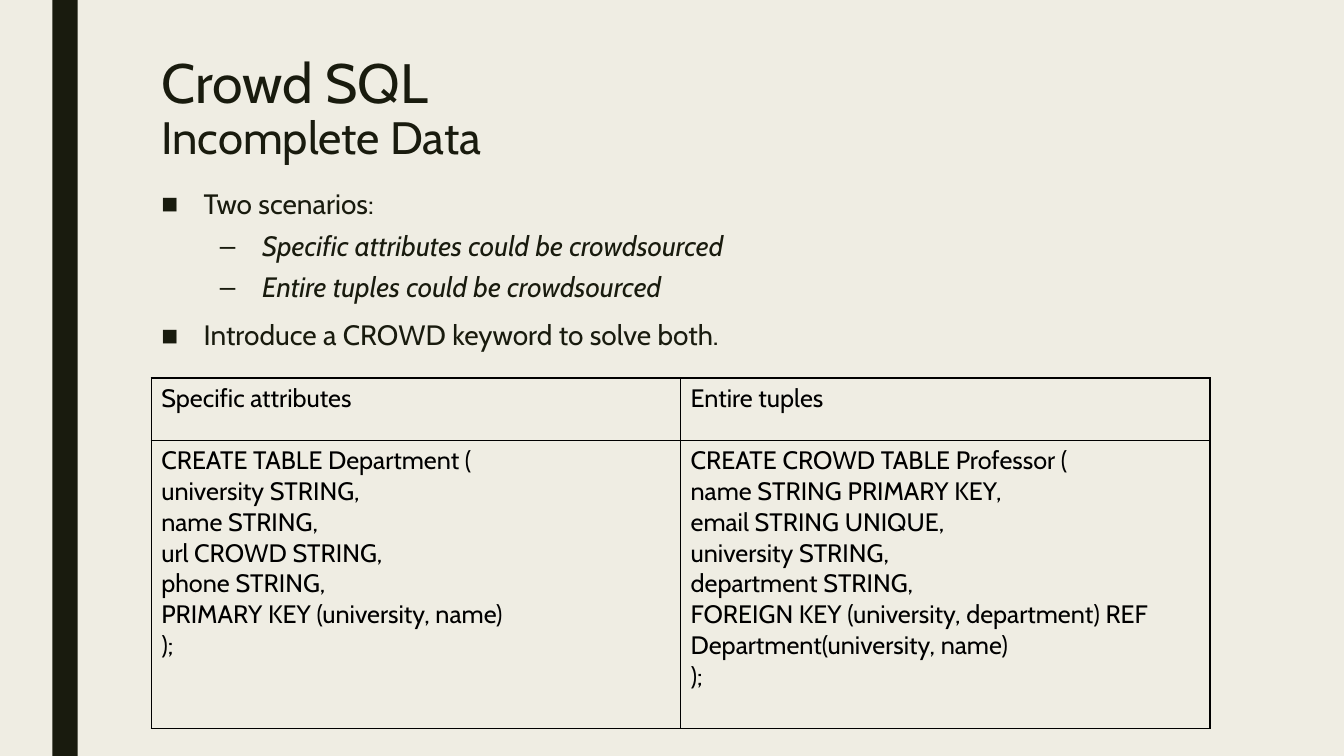
"""Build the Crowd SQL slide on incomplete data."""
from copy import deepcopy
from pptx import Presentation
from pptx.dml.color import RGBColor
from pptx.enum.shapes import MSO_SHAPE
from pptx.enum.text import MSO_ANCHOR, MSO_AUTO_SIZE, PP_ALIGN
from pptx.oxml import parse_xml
from pptx.oxml.ns import nsdecls
from pptx.util import Inches, Pt

INK = "191B0E"


def rgb(value):
    return RGBColor.from_string(value)


def add_run(p, text, size, color, italic=False):
    r = p.add_run()
    r.text = text
    r.font.name = "Cabin"
    r.font.size = Pt(size)
    r.font.bold = False
    r.font.italic = italic
    r.font.color.rgb = rgb(color)
    return r


prs = Presentation()
prs.slide_width, prs.slide_height = Inches(13.33), Inches(7.5)
s = prs.slides.add_slide(prs.slide_layouts[1])
s.background.fill.solid()
s.background.fill.fore_color.rgb = rgb("EFEDE3")

bar = s.shapes.add_shape(MSO_SHAPE.RECTANGLE, Inches(0.52), 0, Inches(0.25), Inches(7.5))
bar.shadow.inherit = False
bar.fill.solid()
bar.fill.fore_color.rgb = rgb(INK)
bar.line.fill.background()

title, body = s.shapes.title, s.placeholders[1]
for sp, top, height in ((title, 0.51, 0.93), (body, 1.83, 4.59)):
    sp.left, sp.top = Inches(1.5), Inches(top)
    sp.width, sp.height = Inches(10.5), Inches(height)
    tf = sp.text_frame
    tf.word_wrap = True
    tf.auto_size = MSO_AUTO_SIZE.NONE
    tf.vertical_anchor = MSO_ANCHOR.TOP

p = title.text_frame.paragraphs[0]
p.alignment = PP_ALIGN.LEFT
p.line_spacing = 0.89
r = add_run(p, "Crowd SQL", 39.6, INK)
p.add_line_break()
p._p[-1].append(deepcopy(r._r.rPr))
add_run(p, "Incomplete Data", 32.4, INK)

points = [
    (0, "Two scenarios:"),
    (1, "Specific attributes could be crowdsourced"),
    (1, "Entire tuples could be crowdsourced"),
    (0, "Introduce a CROWD keyword to solve both."),
]
levels = [(0.42, 10, "■"), (1, 5, "–")]
tf = body.text_frame
for i, (level, text) in enumerate(points):
    indent, before, bullet = levels[level]
    p = tf.add_paragraph() if i else tf.paragraphs[0]
    p.level = level
    p.line_spacing = 0.94
    p.space_before, p.space_after = Pt(before), Pt(2)
    pPr = p._p.get_or_add_pPr()
    pPr.set("marL", str(Inches(indent)))
    pPr.set("indent", str(Inches(-0.42)))
    pPr.append(parse_xml(f'<a:buChar {nsdecls("a")} char="{bullet}"/>'))
    add_run(p, text, 20, INK, italic=level == 1)

rows = [
    (["Specific attributes"], ["Entire tuples"]),
    (
        ["CREATE TABLE Department (", "university STRING,", "name STRING,",
         "url CROWD STRING,", "phone STRING,", "PRIMARY KEY (university, name)", ");"],
        ["CREATE CROWD TABLE Professor (", "name STRING PRIMARY KEY,",
         "email STRING UNIQUE,", "university STRING,", "department STRING,",
         "FOREIGN KEY (university, department) REF Department(university, name)", ");"],
    ),
]
table = s.shapes.add_table(2, 2, Inches(1.5), Inches(3.75), Inches(10.5), Inches(3.48)).table
table.first_row = table.horz_banding = False
for row, height in zip(table.rows, (0.62, 2.86)):
    row.height = Inches(height)
for i, row in enumerate(rows):
    for j, lines in enumerate(row):
        cell = table.cell(i, j)
        cell.fill.background()
        tcPr = cell._tc.get_or_add_tcPr()
        for k, side in enumerate("LRTB"):
            tcPr.insert(k, parse_xml(
                f'<a:ln{side} {nsdecls("a")} w="{Pt(1)}"><a:solidFill>'
                f'<a:srgbClr val="000000"/></a:solidFill></a:ln{side}>'))
        tf = cell.text_frame
        for k, line in enumerate(lines):
            p = tf.add_paragraph() if k else tf.paragraphs[0]
            add_run(p, line, 18, "000000")

prs.save("out.pptx")
